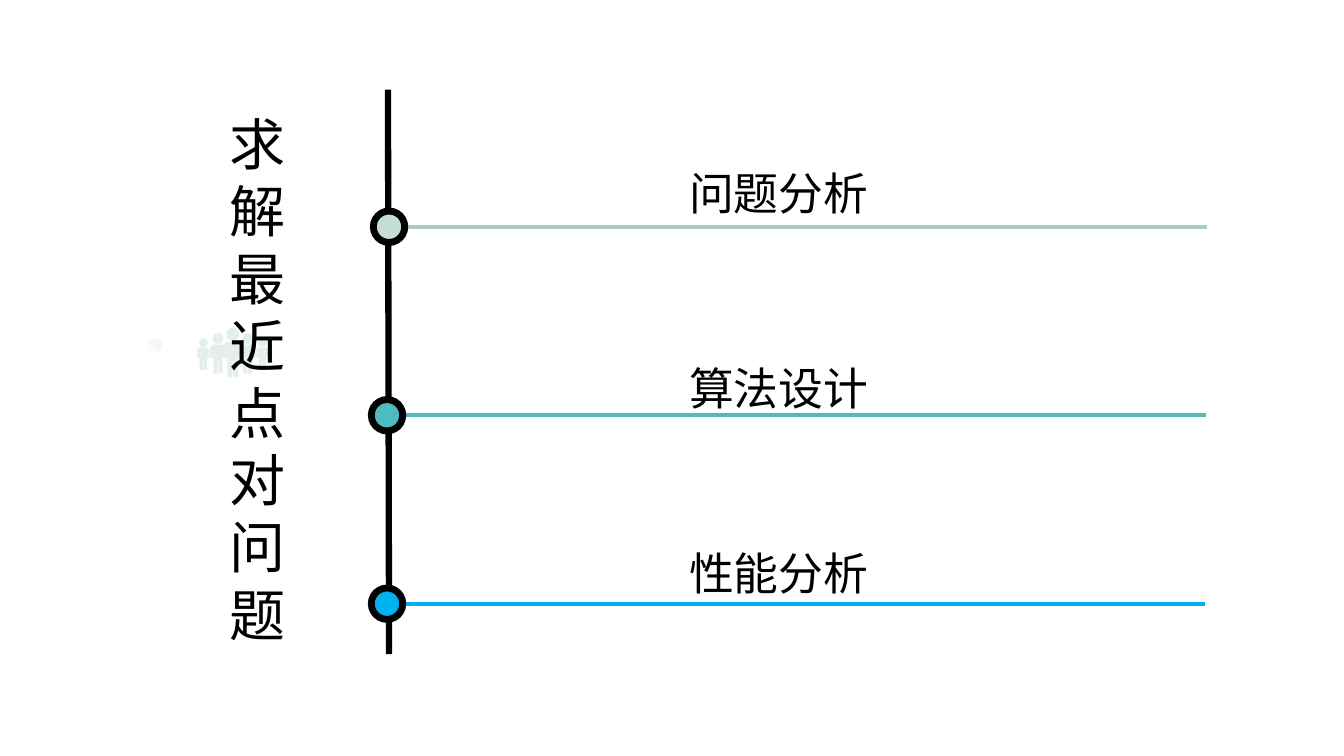
from lxml.etree import SubElement
from pptx import Presentation
from pptx.dml.color import RGBColor
from pptx.enum.shapes import MSO_CONNECTOR, MSO_SHAPE
from pptx.enum.text import PP_ALIGN
from pptx.oxml.ns import qn
from pptx.util import Inches, Pt

theme = {
    "font": "Noto Sans CJK SC",
    "title": 40,
    "label": 32,
    "axis": 4.5,
    "rule": 3,
    "ink": "000000",
    "veil": "FFFFFF",
    "crowd": "70AB9B",
    "shine": ("FFFFFF", "BFBFBF"),
}

deck = Presentation()
deck.slide_width, deck.slide_height = Inches(13.33), Inches(7.5)
slide = deck.slides.add_slide(deck.slide_layouts[6])
shapes = slide.shapes
col, row = deck.slide_width / 100, deck.slide_height / 100


def paint(shape, color):
    shape.shadow.inherit = False
    shape.line.fill.background()
    shape.fill.solid()
    shape.fill.fore_color.rgb = RGBColor.from_string(color)
    return shape


def disc(kind, x, y, size, color):
    edge = int(size * row)
    left, top = int(x * col - edge / 2), int(y * row - edge / 2)
    return paint(shapes.add_shape(kind, left, top, edge, edge), color)


ball = disc(MSO_SHAPE.OVAL, 11.55, 45.73, 1.8, theme["veil"])
ball.fill.gradient()
ball.fill.gradient_angle = 45
for stop, color in zip(ball.fill.gradient_stops, theme["shine"]):
    stop.color.rgb = RGBColor.from_string(color)

half = [(0.07, -1.87), (0.07, 0), (0.73, 0), (0.73, -2.53),
        (1.27, -2.53), (1.27, -4.27), (0.8, -4.67)]
body = half + [(-x, y) for x, y in reversed(half)]
for place in (-2, 2, -1, 1, 0):
    rank = abs(place)
    scale = 1 - 0.18 * rank
    mid, foot = 17.33 + 1.1 * place, 49.87 - 0.45 * rank
    disc(MSO_SHAPE.OVAL, mid, foot - 5.67 * scale, 1.74 * scale, theme["crowd"])
    spots = [(int(mid * col + x * scale * row), int((foot + y * scale) * row))
             for x, y in body]
    pen = shapes.build_freeform(*spots[0])
    pen.add_line_segments(spots[1:], close=True)
    paint(pen.convert_to_shape(), theme["crowd"])

veil = paint(shapes.add_shape(MSO_SHAPE.RECTANGLE, int(10.12 * col), int(11.87 * row),
                              int(79.5 * col), int(74.67 * row)), theme["veil"])
tint = veil.fill._xPr.find(qn("a:solidFill"))[0]
SubElement(tint, qn("a:alpha")).set("val", "81000")

items = [
    ("问题分析", 21.2, 28.95, 89.8, "A9CDC3", "C6DDD7"),
    ("算法设计", 47.07, 28.8, 89.75, "4FBAC0", "4FBAC0"),
    ("性能分析", 71.47, 28.8, 89.65, "00B0F0", "00B0F0"),
]
levels = [30 + 24.93 * n for n in range(len(items))]

lines = [(28.87, 11.87, 28.95, 86.53, theme["ink"], theme["axis"])]
lines += [(end, y, node, y, color, theme["rule"])
          for (_, _, node, end, color, _), y in zip(items, levels)]
for x1, y1, x2, y2, color, width in lines:
    line = shapes.add_connector(MSO_CONNECTOR.STRAIGHT, int(x1 * col), int(y1 * row),
                                int(x2 * col), int(y2 * row))
    line.line.color.rgb = RGBColor.from_string(color)
    line.line.width = Pt(width)
    SubElement(line._element.spPr, qn("a:effectLst"))

for (_, _, node, _, _, color), y in zip(items, levels):
    disc(MSO_SHAPE.OVAL, node, y, 3.6, color)
    ring = disc(MSO_SHAPE.DONUT, node, y, 5.07, theme["ink"])
    ring.adjustments[0] = 0.18

texts = [("求解最近点对问题", 15.22, 13.87, 7.95, 73.2, theme["title"])]
texts += [(item[0], 43.35, item[1], 29.2, 8.53, theme["label"]) for item in items]
for words, x, y, wide, high, size in texts:
    box = shapes.add_textbox(int(x * col), int(y * row), int(wide * col), int(high * row))
    box.text_frame.word_wrap = True
    para = box.text_frame.paragraphs[0]
    para.text = words
    para.alignment = PP_ALIGN.CENTER
    para.font.size = Pt(size)
    para.font.name = theme["font"]
    para.font.color.rgb = RGBColor.from_string(theme["ink"])
    SubElement(para.font._element, qn("a:ea")).set("typeface", theme["font"])

deck.save("out.pptx")
